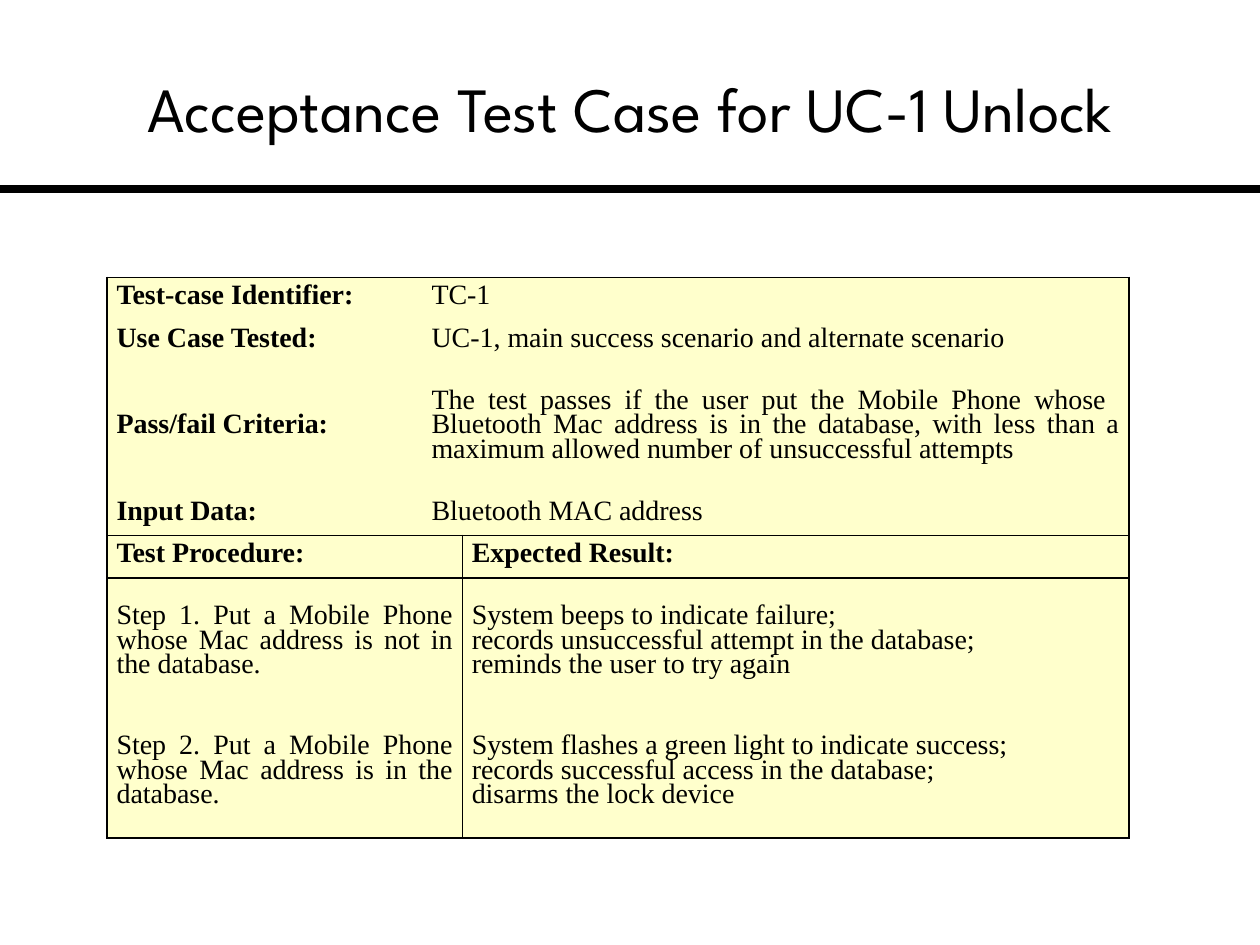
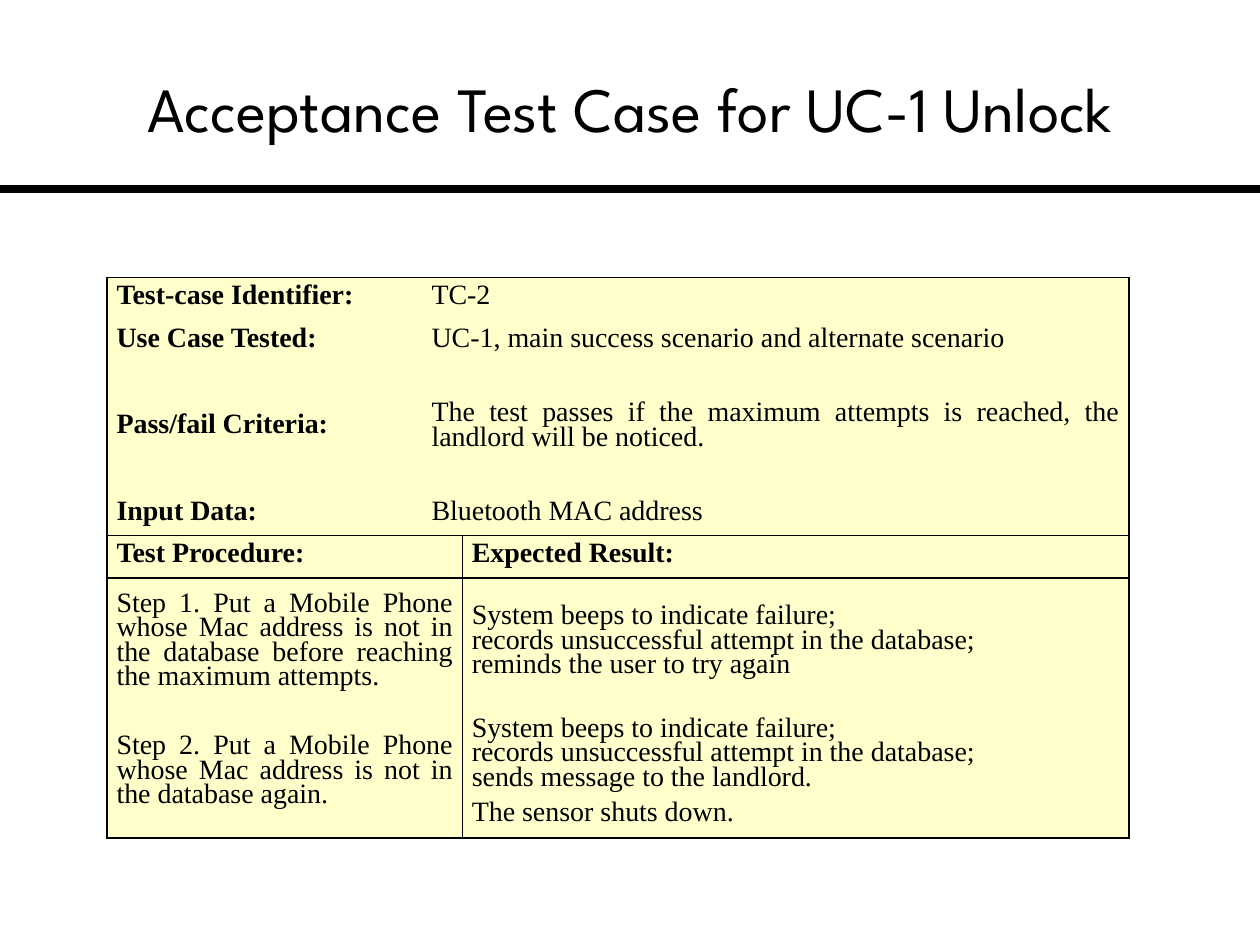
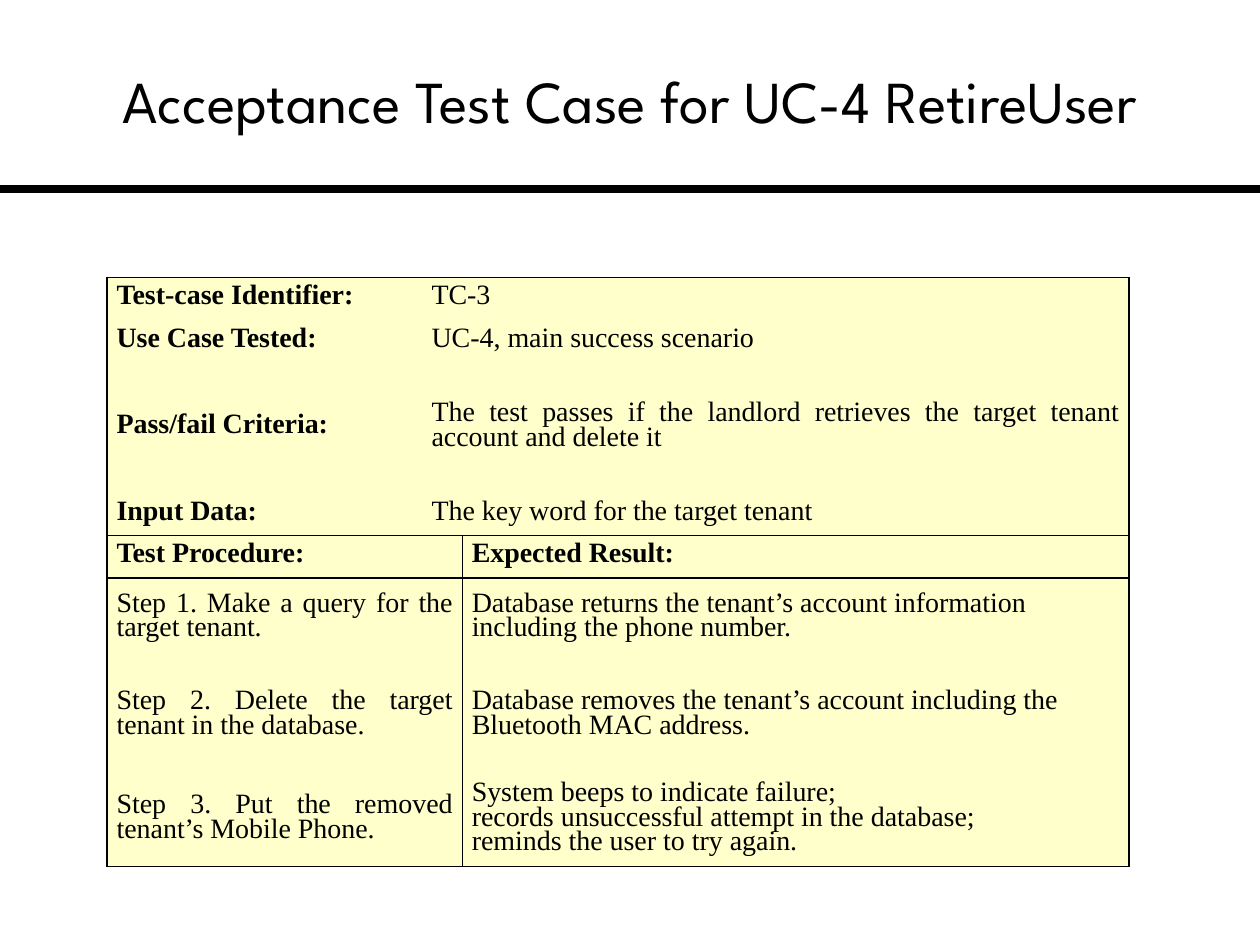
"""Builds three acceptance test case slides, each a ruled title above a table."""
from dataclasses import dataclass

from lxml import etree
from pptx import Presentation
from pptx import util as u
from pptx.dml import color
from pptx.enum import shapes, text
from pptx.oxml import ns

INK = "000000"
CREAM = "FFFFCC"
WHITE = "FFFFFF"
HEAD_FONT = "League Spartan"
BODY_FONT = "Times New Roman"
WIDE, HIGH = 25.4, 19.05
RULE_TOP = 3.81
COLS = (6.35, 0.81, 13.44)
LINE = 0.86
BLOCK = 2.62
LABELS = ("Test-case Identifier:", "Use Case Tested:", "Pass/fail Criteria:", "Input Data:")
FACT_ROWS = (LINE, LINE, BLOCK, LINE)
HEADS = ("Test Procedure:", "Expected Result:")
SPLIT = len(LABELS)


@dataclass(frozen=True)
class Step:
    """One step, its result and its row height in centimetres."""
    act: str
    result: str
    high: float = BLOCK


@dataclass(frozen=True)
class Case:
    """One test case slide; facts answer the labels in order."""
    title: str
    facts: tuple[str, ...]
    steps: tuple[Step, ...]
    size: int = 36
    top: float = 0.58


FAIL = "System beeps to indicate failure;\vrecords unsuccessful attempt in the database;\v"
RETRY = FAIL + "reminds the user to try again"
UNLOCK = "Acceptance Test Case for UC-1 Unlock"
BOTH = "UC-1, main success scenario and alternate scenario"
MAC = "Bluetooth MAC address"

CASES = (
    Case(
        UNLOCK,
        ("TC-1", BOTH,
         "The test passes if the user put the Mobile Phone whose  Bluetooth Mac address is in "
         "the database, with less than a maximum allowed number of unsuccessful attempts", MAC),
        (Step("Step 1. Put a Mobile Phone whose Mac address is not in the database.", RETRY),
         Step("Step 2. Put a Mobile Phone whose Mac address is in the database.",
              "System flashes a green light to indicate success;\v"
              "records successful access in the database;\vdisarms the lock device")),
    ),
    Case(
        UNLOCK,
        ("TC-2", BOTH,
         "The test passes if the maximum attempts is reached, the landlord will be noticed.", MAC),
        (Step("Step 1. Put a Mobile Phone whose Mac address is not in the database before "
              "reaching the maximum attempts.", RETRY),
         Step("Step 2. Put a Mobile Phone whose Mac address is not in the database again.",
              FAIL + "sends message to the landlord.\nThe sensor shuts down.")),
    ),
    Case(
        "Acceptance Test Case for UC-4 RetireUser",
        ("TC-3", "UC-4, main success scenario",
         "The test passes if the landlord retrieves the target tenant account and delete it",
         "The key word for the target tenant"),
        (Step("Step 1. Make a query for the target tenant.",
              "Database returns the tenant’s account information including the phone number.",
              1.63),
         Step("Step 2. Delete the target tenant in the database.",
              "Database removes the tenant’s account including the Bluetooth MAC address.", 2.31),
         Step("Step 3. Put the removed tenant’s Mobile Phone.", RETRY + ".", 1.88)),
        size=34, top=0.43,
    ),
)


def tint(code: str) -> color.RGBColor:
    """Turn a hex string into a colour."""
    return color.RGBColor.from_string(code)


def set_font(par, name: str, size: float, bold: bool = False) -> None:
    """Give a paragraph its font."""
    par.font.name = name
    par.font.size = u.Pt(size)
    par.font.bold = bold
    par.font.color.rgb = tint(INK)


def add_rule(slide) -> None:
    """Draw the heavy line under the title."""
    rule = slide.shapes.add_connector(
        shapes.MSO_CONNECTOR.STRAIGHT, 0, u.Cm(RULE_TOP), u.Cm(WIDE), u.Cm(RULE_TOP))
    rule.line.color.rgb = tint(INK)
    rule.line.width = u.Pt(4.5)
    etree.SubElement(rule._element.spPr, ns.qn("a:effectLst"))


def add_title(slide, case: Case) -> None:
    """Write the centred title across the slide."""
    frame = slide.shapes.add_textbox(0, u.Cm(case.top), u.Cm(WIDE), u.Cm(3.18)).text_frame
    frame.word_wrap = True
    frame.margin_left = frame.margin_right = 0
    frame.vertical_anchor = text.MSO_ANCHOR.MIDDLE
    frame.text = case.title
    par = frame.paragraphs[0]
    par.alignment = text.PP_ALIGN.CENTER
    set_font(par, HEAD_FONT, case.size)


def set_edges(cell, sides: str) -> None:
    """Rule the named sides (of L, R, T, B) and clear the others."""
    props = cell._tc.get_or_add_tcPr()
    for side in "LRTB":
        edge = etree.SubElement(props, ns.qn(f"a:ln{side}"), w=str(u.Pt(1)))
        if side in sides:
            fill = etree.SubElement(edge, ns.qn("a:solidFill"))
            etree.SubElement(fill, ns.qn("a:srgbClr"), val=INK)
        else:
            etree.SubElement(edge, ns.qn("a:noFill"))


def fill_cell(cell, words: str, bold: bool, just: bool) -> None:
    """Write and format the text of one cell."""
    cell.text = words
    cell.vertical_anchor = text.MSO_ANCHOR.MIDDLE
    cell.margin_left = cell.margin_right = u.Cm(0.19)
    cell.margin_top = cell.margin_bottom = 0
    for par in cell.text_frame.paragraphs:
        par.alignment = text.PP_ALIGN.JUSTIFY if just else text.PP_ALIGN.LEFT
        par.line_spacing = u.Pt(14)
        par.space_before = u.Pt(6)
        set_font(par, BODY_FONT, 16, bold)


def add_grid(slide, case: Case) -> None:
    """Draw the table: facts, column heads, then steps."""
    rows = [*zip(LABELS, case.facts), HEADS, *((s.act, s.result) for s in case.steps)]
    highs = (*FACT_ROWS, LINE, *(s.high for s in case.steps))
    grid = slide.shapes.add_table(
        len(rows), len(COLS), u.Cm(2.16), u.Cm(5.59), u.Cm(sum(COLS)), u.Cm(sum(highs))).table
    grid.first_row = grid.horz_banding = False
    for col, wide in zip(grid.columns, COLS):
        col.width = u.Cm(wide)
    last = len(COLS) - 1
    for row, (pair, high) in enumerate(zip(rows, highs)):
        grid.rows[row].height = u.Cm(high)
        lower = row >= SPLIT
        flat = "T" * (row in (0, SPLIT, SPLIT + 1))
        flat += "B" * (row in (SPLIT - 1, SPLIT, len(rows) - 1))
        spans = ((0, 1), (2, 2)) if lower else ((0, 0), (1, 2))
        for part, (words, (start, end)) in enumerate(zip(pair, spans)):
            for col in range(start, end + 1):
                sides = flat + "L" * (col == start and (start == 0 or lower))
                sides += "R" * (end == last or lower)
                cell = grid.cell(row, col)
                set_edges(cell, sides)
                cell.fill.solid()
                cell.fill.fore_color.rgb = tint(CREAM)
            if end > start:
                grid.cell(row, start).merge(grid.cell(row, end))
            bold = row == SPLIT or (part == 0 and not lower)
            just = part == 0 or row <= SPLIT
            fill_cell(grid.cell(row, start), words, bold, just)


def add_case(deck, case: Case) -> None:
    """Add one test case slide."""
    slide = deck.slides.add_slide(deck.slide_layouts[6])
    slide.background.fill.solid()
    slide.background.fill.fore_color.rgb = tint(WHITE)
    add_rule(slide)
    add_title(slide, case)
    add_grid(slide, case)


def main() -> None:
    """Build and save the deck."""
    deck = Presentation()
    deck.slide_width, deck.slide_height = u.Cm(WIDE), u.Cm(HIGH)
    for case in CASES:
        add_case(deck, case)
    deck.save("out.pptx")


main()
